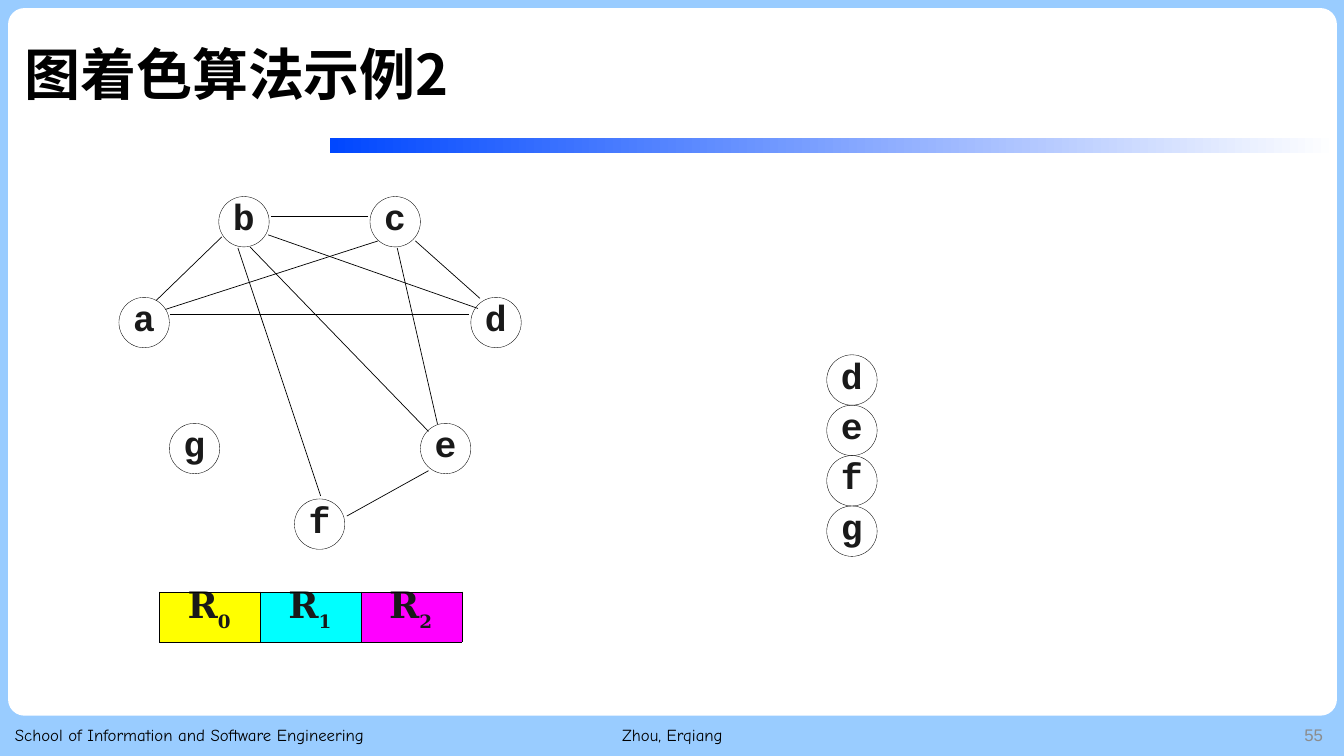
from lxml.etree import SubElement
from pptx import Presentation
from pptx.dml.color import RGBColor
from pptx.enum.shapes import MSO_CONNECTOR, MSO_SHAPE
from pptx.enum.text import MSO_ANCHOR, MSO_AUTO_SIZE, PP_ALIGN
from pptx.oxml import parse_xml
from pptx.oxml.ns import nsdecls, qn
from pptx.util import Inches, Pt

TITLE = {"name": "Noto Sans CJK SC", "size": Pt(40), "bold": True}
FOOTER = {"name": "Comic Neue", "size": Pt(12)}
PAGE_NUMBER = {"name": "Arial", "size": Pt(12)}
NODE = {"name": "Courier New", "size": Pt(26), "bold": True}
REGISTER = {"name": "DejaVu Serif", "size": Pt(26), "bold": True}
SUBSCRIPT = {**REGISTER, "size": Pt(22.5)}
FOOTER_FRAME = {"word_wrap": True, "vertical_anchor": MSO_ANCHOR.MIDDLE}
TITLE_FRAME = {**FOOTER_FRAME, "auto_size": MSO_AUTO_SIZE.NONE}
NODE_FRAME = {"word_wrap": True, "auto_size": MSO_AUTO_SIZE.SHAPE_TO_FIT_TEXT,
              "margin_left": Inches(0.01), "margin_top": Inches(0.01),
              "margin_right": 0, "margin_bottom": 0}
REGISTER_CELL = {"margin_left": Inches(0.28), "margin_top": 0,
                 "margin_right": 0, "margin_bottom": 0}

# Top left corner of each node's circle
NODES = {"a": (1.18, 2.95), "b": (2.17, 1.95), "c": (3.67, 1.95),
         "d": (4.67, 2.95), "e": (4.17, 4.2), "f": (2.92, 4.95),
         "g": (1.68, 4.2)}
EDGES = [
    ((2.48, 2.45), (4.25, 4.28)),  # b-e
    ((3.94, 2.46), (4.34, 4.21)),  # c-e
    ((2.36, 2.46), (3.18, 4.92)),  # b-f
    ((4.25, 4.67), (3.44, 5.12)),  # e-f
    ((2.2, 2.35), (1.55, 2.98)),   # b-a
    ((4.65, 3.12), (1.69, 3.12)),  # d-a
    ((4.76, 2.96), (4.12, 2.39)),  # d-c
    ((3.65, 2.15), (2.69, 2.15)),  # c-b
    ((3.75, 2.39), (1.64, 3.07)),  # c-a
    ((4.74, 3.06), (2.66, 2.33)),  # d-b
]
REGISTER_COLOURS = ["FFFF00", "00FFFF", "FF00FF"]


def colour(hex_string):
    return RGBColor.from_string(hex_string)


def apply(target, values):
    for name, value in values.items():
        setattr(target, name, value)


class GraphSlide:
    ink = "000000"
    letter_ink = "191919"
    thin, medium = Pt(0.25), Pt(0.5)
    circle_size = 0.5

    def __init__(self, presentation):
        self.slide = presentation.slides.add_slide(presentation.slide_layouts[5])
        self.shapes = self.slide.shapes

    def background(self, fill):
        self.slide.background.fill.solid()
        self.slide.background.fill.fore_color.rgb = colour(fill)

    def shape(self, kind, left, top, width, height):
        shape = self.shapes.add_shape(kind, Inches(left), Inches(top),
                                      Inches(width), Inches(height))
        shape.shadow.inherit = False
        shape.line.fill.background()
        return shape

    def panel(self, left, top, width, height, fill):
        panel = self.shape(MSO_SHAPE.ROUNDED_RECTANGLE, left, top, width, height)
        panel.adjustments[0] = 0.023
        panel.fill.solid()
        panel.fill.fore_color.rgb = colour(fill)

    def gradient_bar(self, left, top, width, height, fills):
        bar = self.shape(MSO_SHAPE.RECTANGLE, left, top, width, height)
        bar.fill.gradient()
        bar.fill.gradient_angle = 0
        for stop, fill in zip(bar.fill.gradient_stops, fills):
            stop.color.rgb = colour(fill)

    def run(self, paragraph, text, font, fill):
        run = paragraph.add_run()
        run.text = text
        apply(run.font, font)
        run.font.color.rgb = colour(fill)
        return run

    def title(self, text, left, top, width, height):
        title = self.shapes.title
        self.shapes._spTree.append(title._element)  # in front of the panel
        apply(title, {"left": Inches(left), "top": Inches(top),
                      "width": Inches(width), "height": Inches(height)})
        apply(title.text_frame, TITLE_FRAME)
        paragraph = title.text_frame.paragraphs[0]
        apply(paragraph, {"alignment": PP_ALIGN.LEFT, "line_spacing": 0.9})
        run = self.run(paragraph, text, TITLE, self.ink)
        SubElement(run._r.get_or_add_rPr(), qn("a:ea"), typeface=TITLE["name"])

    def text(self, text, left, top, width, height, font, frame, fill=ink,
             alignment=PP_ALIGN.LEFT):
        box = self.shapes.add_textbox(Inches(left), Inches(top),
                                      Inches(width), Inches(height))
        apply(box.text_frame, frame)
        paragraph = box.text_frame.paragraphs[0]
        paragraph.alignment = alignment
        self.run(paragraph, text, font, fill)

    def node(self, letter, left, top):
        circle = self.shape(MSO_SHAPE.OVAL, left, top,
                            self.circle_size, self.circle_size)
        circle.fill.background()
        circle.line.color.rgb = colour(self.ink)
        circle.line.width = self.thin
        self.text(letter, left + 0.13, top - 0.03, 0.25, 0.46,
                  NODE, NODE_FRAME, self.letter_ink)

    def edge(self, start, end):
        edge = self.shapes.add_connector(MSO_CONNECTOR.STRAIGHT,
                                         *map(Inches, start + end))
        edge.line.color.rgb = colour(self.ink)
        edge.line.width = self.medium
        SubElement(edge._element.spPr, qn("a:effectLst"))

    def border(self, cell):
        properties = cell._tc.get_or_add_tcPr()
        for index, side in enumerate(("lnL", "lnR", "lnT", "lnB")):
            properties.insert(index, parse_xml(
                f'<a:{side} {nsdecls("a")} w="{self.thin}"><a:solidFill>'
                f'<a:srgbClr val="{self.ink}"/></a:solidFill></a:{side}>'))

    def registers(self, left, top, cell_width, height, fills):
        table = self.shapes.add_table(
            1, len(fills), Inches(left), Inches(top),
            Inches(cell_width * len(fills)), Inches(height)).table
        apply(table, {"first_row": False, "horz_banding": False})
        for number, fill in enumerate(fills):
            cell = table.cell(0, number)
            apply(cell, REGISTER_CELL)
            cell.fill.solid()
            cell.fill.fore_color.rgb = colour(fill)
            self.border(cell)
            paragraph = cell.text_frame.paragraphs[0]
            paragraph.line_spacing = Pt(29.4)
            self.run(paragraph, "R", REGISTER, self.letter_ink)
            index = self.run(paragraph, str(number), SUBSCRIPT, self.letter_ink)
            index._r.get_or_add_rPr().set("baseline", "-31000")


def main():
    presentation = Presentation()
    presentation.slide_width = Inches(13.33)
    presentation.slide_height = Inches(7.5)
    slide = GraphSlide(presentation)

    # Backdrop, title and footer
    slide.background("99CCFF")
    slide.panel(0.08, 0.08, 13.18, 7.02, "FFFFFF")
    slide.gradient_bar(3.27, 1.37, 9.99, 0.15, ["0047FF", "FFFFFF"])
    slide.title("图着色算法示例2", 0.14, 0.15, 12.57, 1.24)
    slide.text("School of Information and Software Engineering",
               0.05, 7.09, 4.32, 0.4, FOOTER, FOOTER_FRAME)
    slide.text("55", 10.22, 7.09, 3, 0.4, PAGE_NUMBER, FOOTER_FRAME,
               "8C8C8C", PP_ALIGN.RIGHT)
    slide.text("Zhou, Erqiang", 4.42, 7.09, 4.5, 0.4, FOOTER, FOOTER_FRAME,
               alignment=PP_ALIGN.CENTER)

    # Interference graph
    for letter, (left, top) in NODES.items():
        slide.node(letter, left, top)
    for start, end in EDGES:
        slide.edge(start, end)

    # Available registers
    slide.registers(1.58, 5.87, 1, 0.5, REGISTER_COLOURS)

    # Stack of removed nodes
    for level, letter in enumerate("defg"):
        slide.node(letter, 8.2, 3.52 + level * slide.circle_size)

    presentation.save("out.pptx")


if __name__ == "__main__":
    main()
